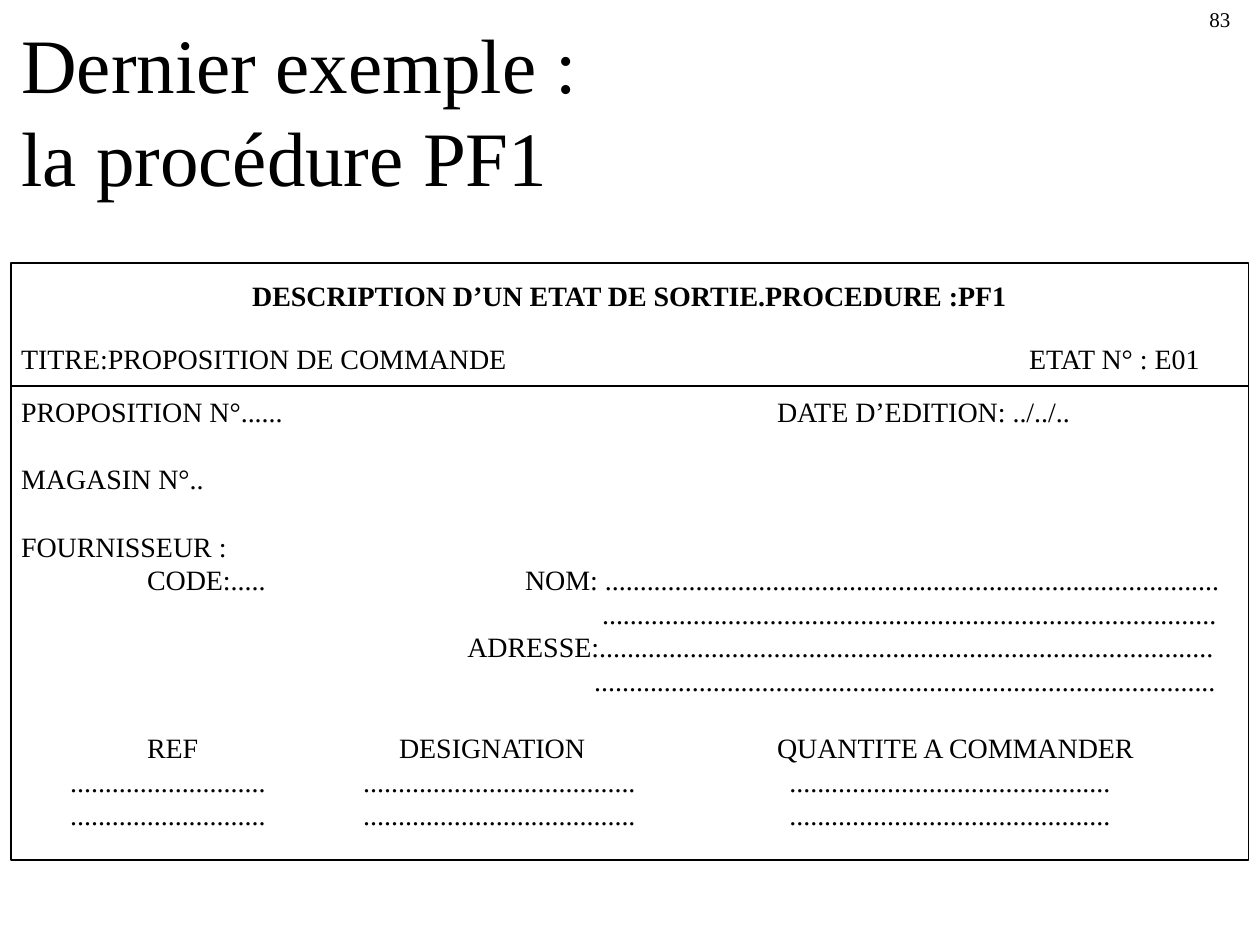
from lxml import etree
from pptx import Presentation
from pptx.dml.color import RGBColor
from pptx.enum.shapes import MSO_CONNECTOR, MSO_SHAPE
from pptx.enum.text import MSO_ANCHOR, MSO_AUTO_SIZE, PP_ALIGN
from pptx.oxml.ns import qn
from pptx.util import Pt

RECT, STRAIGHT = MSO_SHAPE.RECTANGLE, MSO_CONNECTOR.STRAIGHT
TOP, LEFT, NO_FIT = MSO_ANCHOR.TOP, PP_ALIGN.LEFT, MSO_AUTO_SIZE.NONE
FONT, BLACK = "Times New Roman", "000000"
TITLE_SIZE, FORM_SIZE, NUMBER_SIZE = 44, 16, 12
GAP = 19.2  # one line of form text

# Content: each form row is (space before, [(tab position, text), ...])
TITLE = ["Dernier exemple :", "la procédure PF1"]
NUMBER = "83"
HEADING = "DESCRIPTION D’UN ETAT DE SORTIE.PROCEDURE :PF1"
DOTS = "." * 88
BLANKS = [(28, "." * 28), (195.5, "." * 39), (439, "." * 46)]
STATE_ROW = [(0, "TITRE:PROPOSITION DE COMMANDE"), (576, "ETAT N° : E01")]
FORM = [
    (0, [(0, "PROPOSITION N°......"), (432, "DATE D’EDITION: ../../..")]),
    (GAP, [(0, "MAGASIN N°..")]),
    (GAP, [(0, "FOURNISSEUR :")]),
    (0, [(72, "CODE:....."), (288, "NOM: " + DOTS)]),
    (0, [(332, DOTS)]),
    (0, [(255, "ADRESSE:" + DOTS)]),
    (0, [(327.5, DOTS + ".")]),
    (GAP, [(72, "REF"), (216, "DESIGNATION"), (432, "QUANTITE A COMMANDER")]),
    (0, BLANKS),
    (0, BLANKS),
]

# Positions: left, top, width, height
TITLE_BOX = (5, 6, 619, 113)
FRAME = (6.5, 150.5, 707, 341)
RULE_Y = 220.5
HEADING_BOX = (137, 155.5, 450, 26.5)
STATE_BOX = (5, 191.5, 691, 26.5)
FORM_BOX = (5, 222, 701, 276)
NUMBER_BOX = (684, 0, 36, 21.5)


def rgb(value):
    return RGBColor.from_string(value)


def add_run(p, text, size, bold=False):
    r = p.add_run()
    r.text = text
    r.font.name, r.font.size, r.font.bold = FONT, Pt(size), bold
    r.font.color.rgb = rgb(BLACK)


def add_row(p, cells, size, before=0, bold=False):
    stops = [x for x, _ in cells if x]
    if stops:
        tabs = etree.SubElement(p._p.get_or_add_pPr(), qn("a:tabLst"))
        for x in stops:
            etree.SubElement(tabs, qn("a:tab"), pos=str(Pt(x)), algn="l")
    if before:
        p.space_before = Pt(before)
    add_run(p, "".join(("\t" if x else "") + text for x, text in cells), size, bold)


def add_text(box, rows, size, bold=False):
    tf = s.shapes.add_textbox(*map(Pt, box)).text_frame
    tf.word_wrap = True
    for i, (before, cells) in enumerate(rows):
        p = tf.add_paragraph() if i else tf.paragraphs[0]
        add_row(p, cells, size, before, bold)


prs = Presentation()
prs.slide_width, prs.slide_height = Pt(720), Pt(540)
s = prs.slides.add_slide(prs.slide_layouts[5])

# Title
title = s.shapes.title
title.left, title.top, title.width, title.height = map(Pt, TITLE_BOX)
tf = title.text_frame
tf.word_wrap, tf.auto_size, tf.vertical_anchor = True, NO_FIT, TOP
for i, line in enumerate(TITLE):
    p = tf.add_paragraph() if i else tf.paragraphs[0]
    p.alignment = LEFT
    add_run(p, line, TITLE_SIZE)

# Form frame and the rule under its header
frame = s.shapes.add_shape(RECT, *map(Pt, FRAME))
frame.shadow.inherit = False
frame.fill.background()
left, _, width, _ = FRAME
rule = s.shapes.add_connector(STRAIGHT, Pt(left), Pt(RULE_Y), Pt(left + width), Pt(RULE_Y))
etree.SubElement(rule._element.spPr, qn("a:effectLst"))
for sp in (frame, rule):
    sp.line.color.rgb = rgb(BLACK)
    sp.line.width = Pt(1)
# The line fill must come before the effect list
rule._element.spPr.append(rule._element.spPr.find(qn("a:effectLst")))

# Form text and slide number
add_text(HEADING_BOX, [(0, [(0, HEADING)])], FORM_SIZE, bold=True)
add_text(STATE_BOX, [(0, STATE_ROW)], FORM_SIZE)
add_text(FORM_BOX, FORM, FORM_SIZE)
add_text(NUMBER_BOX, [(0, [(0, NUMBER)])], NUMBER_SIZE)

prs.save("out.pptx")
